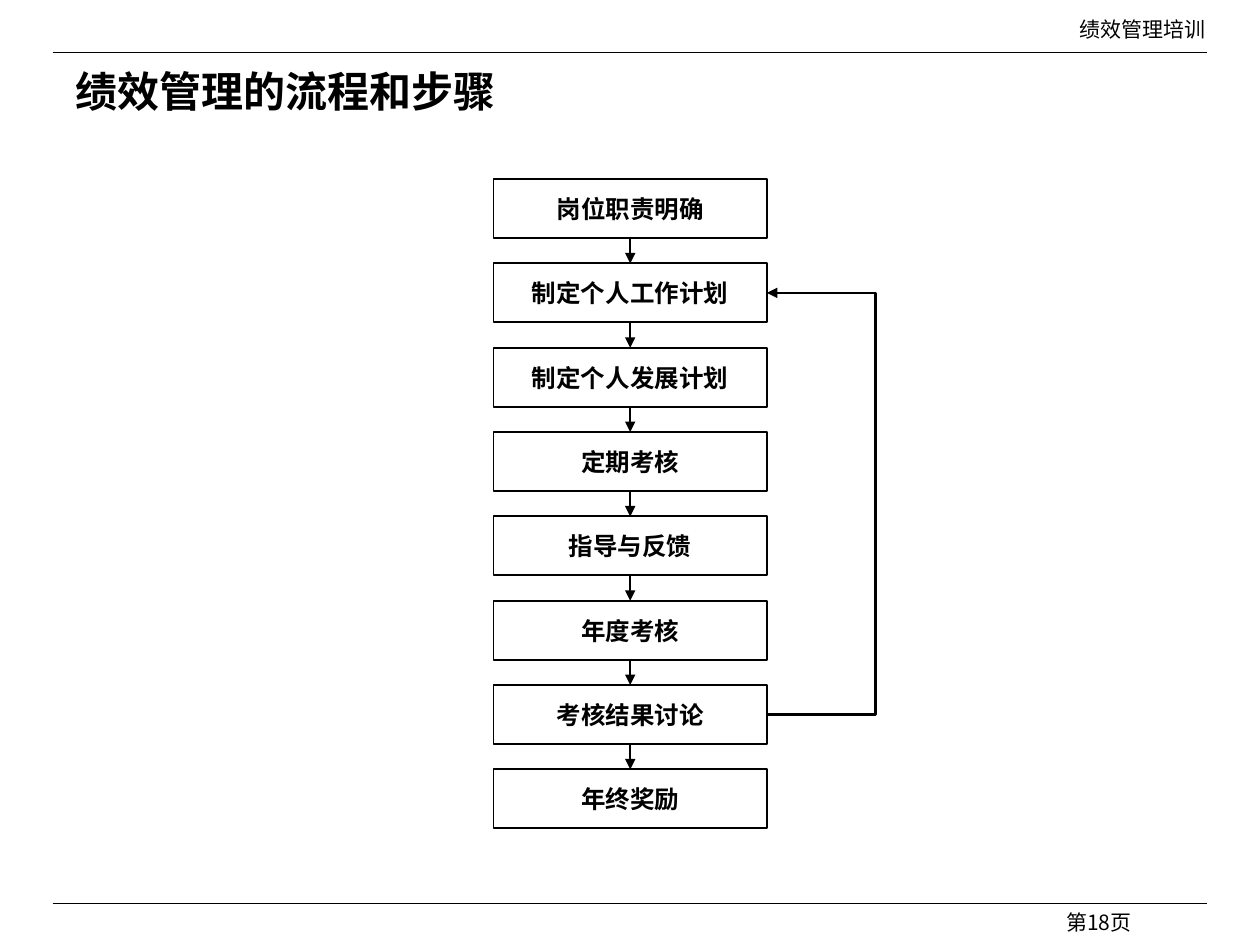
"""Build the slide that shows the steps of performance management."""
from dataclasses import dataclass
from itertools import pairwise

from lxml.etree import SubElement as Sub
from pptx import Presentation
from pptx.dml.color import RGBColor as Rgb
from pptx.enum.shapes import MSO_CONNECTOR as Link, MSO_SHAPE as Form
from pptx.enum.text import MSO_ANCHOR as Anchor, PP_ALIGN as Align
from pptx.oxml.ns import qn
from pptx.shapes.autoshape import Shape
from pptx.shapes.connector import Connector
from pptx.slide import Slide
from pptx.text.text import TextFrame
from pptx.util import Cm, Pt

COLORS = {"ink": "000000", "paper": "FFFFFF"}
STEPS = ["岗位职责明确", "制定个人工作计划", "制定个人发展计划", "定期考核",
         "指导与反馈", "年度考核", "考核结果讨论", "年终奖励"]
LEFT, TOP, WIDTH, HEIGHT, PITCH = 9.95, 3.61, 5.51, 1.19, 1.70
LOOP_X, LOOP_GAP = 17.65, 0.02
LOOP_FROM, LOOP_TO = 6, 1


@dataclass
class Label:
    """A line of text with its place in centimetres and its look."""
    text: str
    left: float
    top: float
    width: float
    height: float
    size: int
    font: str
    bold: bool = False
    align: Align = Align.RIGHT
    anchor: Anchor = Anchor.TOP


LABELS = [
    Label("第18页", 17.78, 18.21, 5.28, 0.43, 12, "Noto Sans CJK SC"),
    Label("绩效管理培训", 12.7, 0.2, 11.86, 0.76, 12, "Times New Roman"),
    Label("绩效管理的流程和步骤", 1.27, 1.19, 22.66, 1.27, 24,
          "Times New Roman", True, Align.LEFT, Anchor.MIDDLE),
]


def write(frame: TextFrame, text: str, size: int, font: str, bold: bool,
          align: Align, anchor: Anchor, wrap: bool) -> None:
    """Fill a text frame with one styled paragraph."""
    frame.word_wrap = wrap
    frame.vertical_anchor = anchor
    para = frame.paragraphs[0]
    para.text = text
    para.alignment = align
    para.font.size = Pt(size)
    para.font.name = font
    para.font.bold = bold
    para.font.color.rgb = Rgb.from_string(COLORS["ink"])


def add_label(slide: Slide, item: Label) -> None:
    """Place a text box."""
    box = slide.shapes.add_textbox(Cm(item.left), Cm(item.top),
                                   Cm(item.width), Cm(item.height))
    write(box.text_frame, item.text, item.size, item.font, item.bold,
          item.align, item.anchor, True)


def add_step(slide: Slide, row: int, text: str) -> Shape:
    """Place one framed step of the flow."""
    box = slide.shapes.add_shape(Form.RECTANGLE, Cm(LEFT),
                                 Cm(TOP + row * PITCH), Cm(WIDTH), Cm(HEIGHT))
    box.shadow.inherit = False
    box.fill.background()
    box.line.color.rgb = Rgb.from_string(COLORS["ink"])
    box.line.width = Pt(1)
    write(box.text_frame, text, 14, "Arial", True, Align.CENTER,
          Anchor.MIDDLE, False)
    return box


def add_line(slide: Slide, start: tuple[float, float], end: tuple[float, float],
             width: float, arrow: bool = False,
             kind: Link = Link.STRAIGHT) -> Connector:
    """Draw a connector, with an arrowhead at its end if asked."""
    line = slide.shapes.add_connector(kind, *map(Cm, start + end))
    line.line.color.rgb = Rgb.from_string(COLORS["ink"])
    line.line.width = Pt(width)
    props = line._element.spPr
    if arrow:
        Sub(props.find(qn("a:ln")), qn("a:tailEnd"), type="triangle")
    Sub(props, qn("a:effectLst"))
    return line


def add_loop(slide: Slide) -> None:
    """Lead the flow from the review back to the work plan."""
    edge = LEFT + WIDTH
    low, high = (TOP + row * PITCH + HEIGHT / 2 for row in (LOOP_FROM, LOOP_TO))
    loop = add_line(slide, (edge - LOOP_GAP, low), (edge, high), 1.5, True,
                    Link.ELBOW)
    bend = round((LOOP_X - edge + LOOP_GAP) / LOOP_GAP * 100000)
    guides = loop._element.spPr.find(qn("a:prstGeom")).get_or_add_avLst()
    Sub(guides, qn("a:gd"), name="adj1", fmla=f"val {bend}")


def main() -> None:
    """Build and save the slide."""
    deck = Presentation()
    deck.slide_width, deck.slide_height = Cm(25.4), Cm(19.05)
    slide = deck.slides.add_slide(deck.slide_layouts[6])
    slide.background.fill.solid()
    slide.background.fill.fore_color.rgb = Rgb.from_string(COLORS["paper"])
    for y in (1.06, 18.21):
        add_line(slide, (1.06, y), (24.34, y), 0.75)
    for item in LABELS:
        add_label(slide, item)
    boxes = [add_step(slide, row, text) for row, text in enumerate(STEPS)]
    for upper, lower in pairwise(boxes):
        arrow = add_line(slide, (0, 0), (0, 0), 1, True)
        arrow.begin_connect(upper, 2)
        arrow.end_connect(lower, 0)
    add_loop(slide)


    deck.save("out.pptx")


if __name__ == "__main__":
    main()
